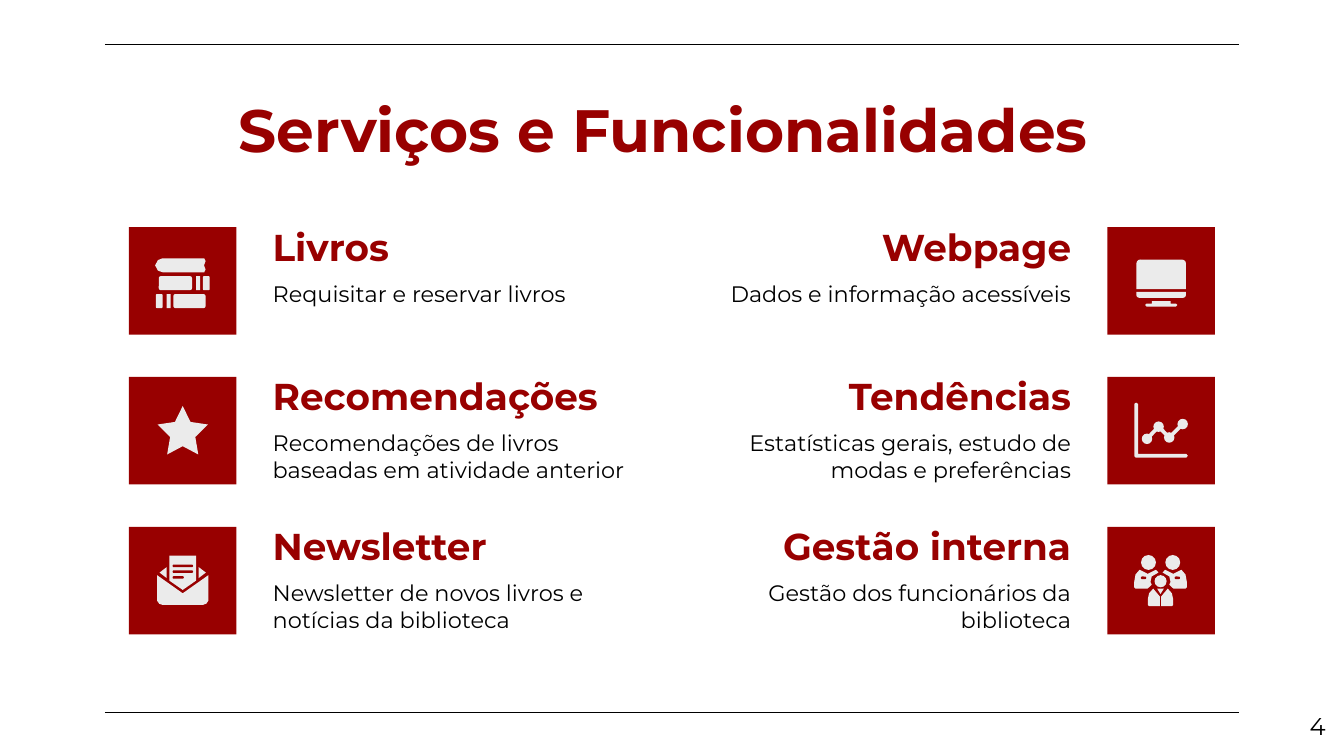
from pptx import Presentation
from pptx.dml.color import RGBColor
from pptx.enum import shapes as s, text as t
from pptx.oxml.ns import qn
from pptx.util import Pt

RED = RGBColor(0x98, 0, 0)
PALE = RGBColor(0xEB, 0xEB, 0xEB)
BLACK = RGBColor(0, 0, 0)
KIND = s.MSO_SHAPE
RECT, ROUND, OVAL = KIND.RECTANGLE, KIND.ROUNDED_RECTANGLE, KIND.OVAL
TOP, STEP, SIDE = 121.75, 80.25, 57.6
LEFT, RIGHT = 69.1, 593.3

deck = Presentation()
deck.slide_width, deck.slide_height = Pt(720), Pt(405)
slide = deck.slides.add_slide(deck.slide_layouts[6])
items = slide.shapes


def paint(x, y, form, color=PALE, adj=()):
    """Draw a list of points, or a preset given as (kind, x, y, w, h)."""
    if isinstance(form, list):
        pts = [(Pt(x + a), Pt(y + b)) for a, b in form]
        pen = items.build_freeform(*pts[0])
        pen.add_line_segments(pts[1:])
        part = pen.convert_to_shape()
    else:
        kind, a, b, w, h = form
        part = items.add_shape(kind, Pt(x + a), Pt(y + b), Pt(w), Pt(h))
        for i, val in enumerate(adj):
            part.adjustments[i] = val
    part.shadow.inherit = False
    part.fill.solid()
    part.fill.fore_color.rgb = color
    part.line.fill.background()


def write(x, y, w, h, words, size, color=BLACK, bold=False,
          align=t.PP_ALIGN.LEFT, anchor=t.MSO_ANCHOR.TOP):
    frame = items.add_textbox(Pt(x), Pt(y), Pt(w), Pt(h)).text_frame
    frame.word_wrap = True
    frame.vertical_anchor = anchor
    frame.margin_left = frame.margin_right = Pt(7.2)
    frame.margin_top = frame.margin_bottom = Pt(7.2)
    para = frame.paragraphs[0]
    para.text, para.alignment = words, align
    font = para.font
    font.name, font.size, font.bold = "Montserrat", Pt(size), bold
    font.color.rgb = color


# Title and page number
write(56.2, 42.5, 607.6, 45.4, "Serviços e Funcionalidades ", 32, RED, True,
      t.PP_ALIGN.CENTER)
write(674, 373.7, 43.2, 31, "4", 13, align=t.PP_ALIGN.RIGHT)

# Services: heading, description, width of the description
left = [
    ("Livros", "Requisitar e reservar livros", 204.5),
    ("Recomendações", "Recomendações de livros baseadas em atividade anterior", 224),
    ("Newsletter", "Newsletter de novos livros e notícias da biblioteca", 204.5),
]
right = [
    ("Webpage", "Dados e informação acessíveis", 224),
    ("Tendências", "Estatísticas gerais, estudo de modas e preferências", 204.5),
    ("Gestão interna", "Gestão dos funcionários da biblioteca", 204.5),
]
for x, rows, align in ((LEFT, left, t.PP_ALIGN.LEFT),
                       (RIGHT, right, t.PP_ALIGN.RIGHT)):
    for i, (head, body, wide) in enumerate(rows):
        y = TOP + i * STEP
        paint(x, y, (RECT, 0, 0, SIDE, SIDE), RED)
        for words, w, dy, h, look in (
                (head, 204.5, -4.4, 33.8, (20, RED, True, align, t.MSO_ANCHOR.BOTTOM)),
                (body, wide, 20.9, 38.2, (12, BLACK, False, align))):
            start = 139 if x == LEFT else 581 - w
            write(start, y + dy, w, h, words, *look)

# Books icon
paint(LEFT, TOP, [(18, 16.6), (15.5, 17.6), (14, 20.4), (15.5, 23.2),
                  (18, 24.1), (40.3, 24.1), (41, 22.6), (40.2, 20.4),
                  (41, 18.1), (40.3, 16.6)])
for kind, x, row, w in ((ROUND, 16, 1, 17.8), (RECT, 36, 1, 2.2),
                        (ROUND, 39.6, 1, 3.6), (ROUND, 14.4, 2, 3.6),
                        (RECT, 20.2, 2, 2.2), (ROUND, 23.8, 2, 17.3)):
    paint(LEFT, TOP, (kind, x, 16.6 + 9.6 * row, w, 7.5),
          adj=(0.15,) if kind == ROUND else ())

# Star icon
mid, low = TOP + STEP, TOP + 2 * STEP
paint(LEFT, mid, (KIND.STAR_5_POINT, 15.3, 15.5, 27, 26), adj=(0.25,))

# Letter icon
for form in ([(15.1, 25.9), (15.1, 39.6), (16.2, 41.2), (18, 41.8), (39.6, 41.8),
              (41.4, 41.2), (42.5, 39.6), (42.5, 25.9), (28.8, 35.6)],
             [(37.4, 21.6), (37.4, 27.4), (41.2, 24.5)],
             [(20.2, 21.6), (16.4, 24.5), (20.2, 27.4)],
             [(21.6, 15.5), (36, 15.5), (36, 28.8), (28.8, 33.8), (21.6, 28.8)]):
    paint(LEFT, low, form)
for i, w in enumerate((11, 11, 6)):
    paint(LEFT, low, (ROUND, 23.4, 20.2 + 3.1 * i, w, 1.4), RED, (0.5,))

# Screen icon
paint(RIGHT, TOP, (KIND.ROUND_2_SAME_RECTANGLE, 15.5, 17.3, 26.6, 15.8), adj=(0.14, 0))
paint(RIGHT, TOP, (KIND.ROUND_2_SAME_RECTANGLE, 15.5, 34.6, 26.6, 3.2), adj=(0, 0.5))
paint(RIGHT, TOP, [(23.8, 39.6), (33.8, 39.6), (33.8, 41), (36.7, 41), (37.4, 41.7),
                   (36.7, 42.5), (20.9, 42.5), (20.2, 41.7), (20.9, 41), (23.8, 41)])

# Trend icon
paint(RIGHT, mid, [(14.4, 14.4), (15.4, 13.7), (16.4, 14.4), (16.4, 41.2), (42.3, 41.2),
                   (43.1, 42.2), (42.3, 43.2), (15.2, 43.2), (14.4, 42.4)])
dots = [(21.2, 33.1), (27.4, 26.6), (33.1, 32.4), (40.3, 25.2)]
for x, y in dots:
    paint(RIGHT, mid, (OVAL, x - 2.8, y - 2.8, 5.6, 5.6))

# Team icon, mirrored about its middle
for x, y, size in ((25.2, 25.9, 6.5), (18, 15.1, 8), (31, 15.1, 8)):
    paint(RIGHT, low, (OVAL, x, y, size, size))
paint(RIGHT, low, [(26.6, 33.1), (30.2, 33.1), (28.4, 36)])
coat = [(24.5, 33.1), (28.1, 37.4), (28.1, 42.5), (22.3, 42.5),
        (21.6, 41.8), (21.6, 38.9), (22.3, 35.6)]
back = [(39.6, 23), (41.8, 25.6), (42.5, 29.5), (42.5, 32.4), (41.8, 33.1),
        (35.3, 33.1), (33.1, 31), (33.8, 29.5), (33.1, 26.6), (29.5, 24.5),
        (30.9, 23), (35.3, 25.2)]
for form in (coat, back):
    paint(RIGHT, low, form)
    paint(RIGHT, low, [(56.8 - x, y) for x, y in form])
for x in (17.9, 36):
    paint(RIGHT, low, (ROUND, x, 26.6, 2.9, 1.4), RED, (0.5,))

# Page rules and trend line
lines = [(56.2, y, 663.8, y, BLACK, 0.75) for y in (23.8, 381.6)]
lines += [(RIGHT + a, mid + b, RIGHT + c, mid + d, PALE, 2)
          for (a, b), (c, d) in zip(dots, dots[1:])]
for a, b, c, d, color, wide in lines:
    rule = items.add_connector(s.MSO_CONNECTOR.STRAIGHT, Pt(a), Pt(b), Pt(c), Pt(d))
    rule.line.color.rgb, rule.line.width = color, Pt(wide)
    props = rule._element.spPr
    props.append(props.makeelement(qn("a:effectLst"), {}))

deck.save("out.pptx")
